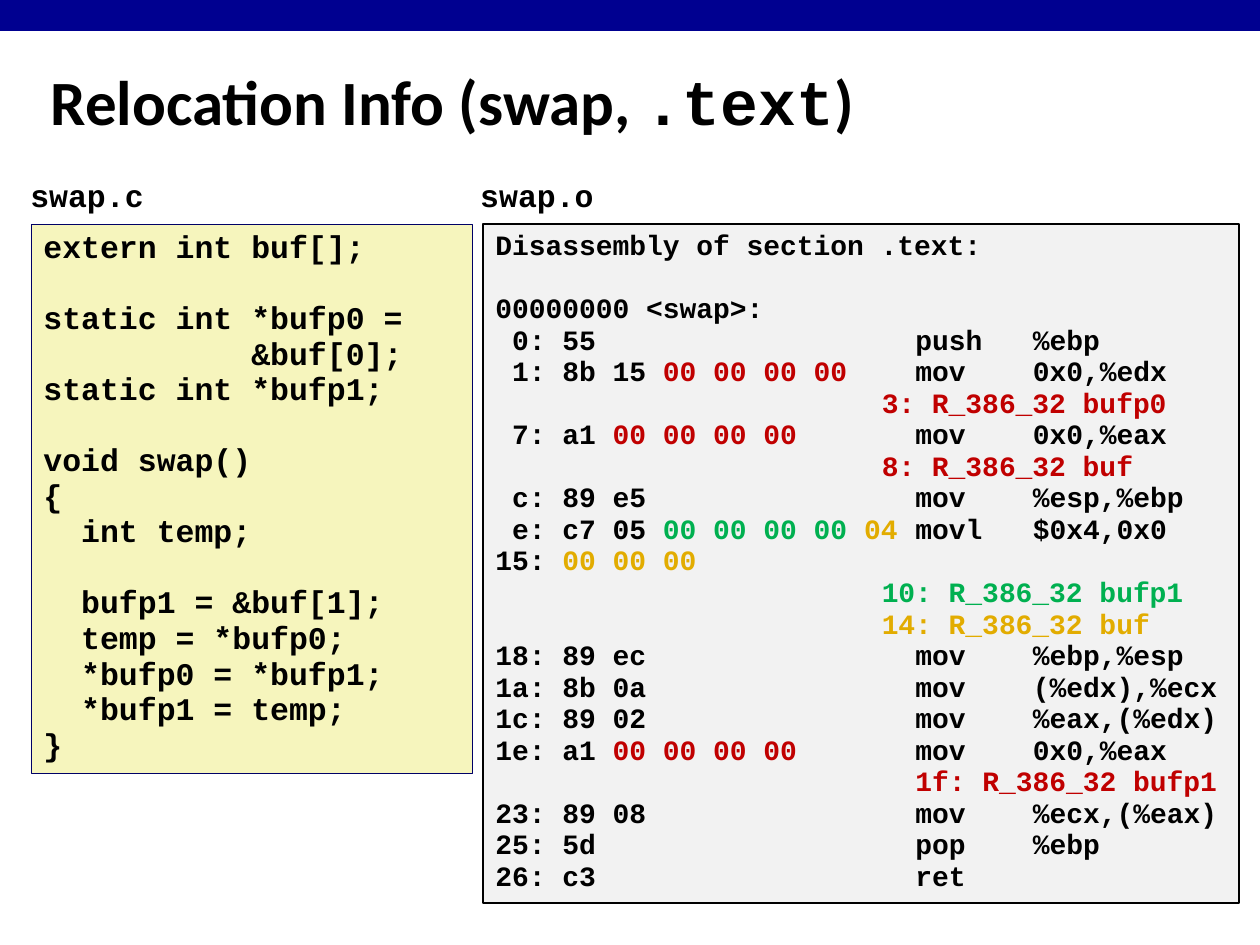
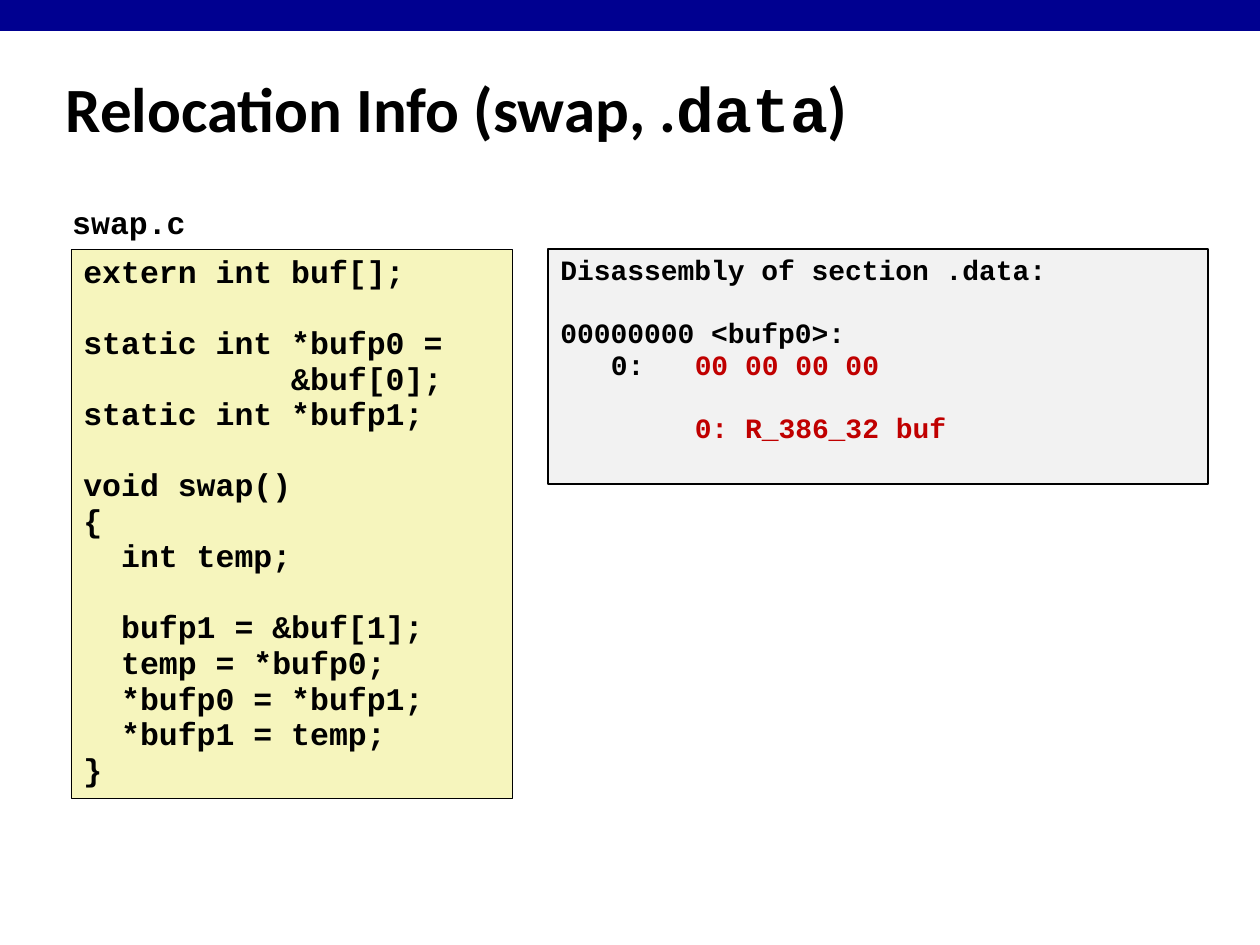
from dataclasses import dataclass

from pptx import Presentation
from pptx.dml.color import RGBColor
from pptx.enum.shapes import MSO_SHAPE
from pptx.enum.text import MSO_ANCHOR, PP_ALIGN
from pptx.oxml import parse_xml
from pptx.oxml.ns import nsdecls
from pptx.util import Emu, Pt

RECTANGLE = MSO_SHAPE.RECTANGLE
TOP, MIDDLE = MSO_ANCHOR.TOP, MSO_ANCHOR.MIDDLE
LEFT, CENTER = PP_ALIGN.LEFT, PP_ALIGN.CENTER
EMU_PER_PX = 914400 / 126


@dataclass(frozen=True)
class Theme:
    ink: str = "000000"
    red: str = "C00000"
    green: str = "00B050"
    gold: str = "E2AC00"
    band: str = "000090"
    source_fill: str = "F6F5BD"
    listing_fill: str = "F2F2F2"
    navy: str = "000066"
    title_font: str = "Calibri"
    code_font: str = "Courier New"
    title_size: int = 36
    source_size: int = 18
    listing_size: int = 16
    title_spacing: float = 0.82
    code_spacing: float = 0.94
    label_spacing: float = 0.9
    char_width: float = 0.6
    line_height: float = 1.13


theme = Theme()


def px(*lengths):
    return [Emu(round(length * EMU_PER_PX)) for length in lengths]


def write_code(frame, code, size, spacing, align=LEFT, stops=()):
    """Write code lines; ¦colour¦ switches the colour inside a line.

    Blank lines become space before, leading spaces become an indent,
    and tab stops are counted in characters.
    """
    column = size * theme.char_width
    frame.vertical_anchor = TOP
    para, gap = None, 0
    for line in code.strip("\n").split("\n"):
        if not line:
            gap += size * theme.line_height
            continue
        para = frame.paragraphs[0] if para is None else frame.add_paragraph()
        for name, value in {"alignment": align, "line_spacing": spacing,
                            "space_before": Pt(gap)}.items():
            setattr(para, name, value)
        gap = 0
        properties = para._p.get_or_add_pPr()
        indent = len(line) - len(line.lstrip(" "))
        if indent > 1:
            line = line.lstrip(" ")
            properties.set("marL", str(Pt(indent * column)))
            properties.set("indent", "0")
        if "\t" in line:
            tabs = "".join(f'<a:tab pos="{Pt(stop * column)}" algn="l"/>' for stop in stops)
            properties.append(parse_xml(f'<a:tabLst {nsdecls("a")}>{tabs}</a:tabLst>'))
        pieces = line.split("¦")
        for colour, text in zip(["ink"] + pieces[1::2], pieces[::2]):
            if not text:
                continue
            span = para.add_run()
            span.text = text
            for name, value in {"name": theme.code_font, "size": Pt(size), "bold": True}.items():
                setattr(span.font, name, value)
            span.font.color.rgb = RGBColor.from_string(getattr(theme, colour))


# Code shown on the slides
SWAP_C = """
extern int buf[];

static int *bufp0 =
           &buf[0];
static int *bufp1;

void swap()
{
  int temp;

  bufp1 = &buf[1];
  temp = *bufp0;
  *bufp0 = *bufp1;
  *bufp1 = temp;
}
"""

TEXT_SECTION = """
Disassembly of section .text:

00000000 <swap>:
 0: 55\tpush\t%ebp
 1: 8b 15 ¦red¦00 00 00 00¦ink¦\tmov\t0x0,%edx
                       ¦red¦3: R_386_32 bufp0
 7: a1 ¦red¦00 00 00 00¦ink¦\tmov\t0x0,%eax
                       ¦red¦8: R_386_32 buf
 c: 89 e5\tmov\t%esp,%ebp
 e: c7 05 ¦green¦00 00 00 00 ¦gold¦04¦ink¦\tmovl\t$0x4,0x0
15: ¦gold¦00 00 00
                       ¦green¦10: R_386_32 bufp1
                       ¦gold¦14: R_386_32 buf
18: 89 ec\tmov\t%ebp,%esp
1a: 8b 0a\tmov\t(%edx),%ecx
1c: 89 02\tmov\t%eax,(%edx)
1e: a1 ¦red¦00 00 00 00¦ink¦\tmov\t0x0,%eax
                         ¦red¦1f: R_386_32 bufp1
23: 89 08\tmov\t%ecx,(%eax)
25: 5d\tpop\t%ebp
26: c3\tret
"""

DATA_SECTION = """
Disassembly of section .data:

00000000 <bufp0>:
\t0:\t¦red¦00 00 00 00

        ¦red¦0: R_386_32 buf
"""

# Each panel: place, code, size, fill, line colour, line width, tab stops
SOURCE = (SWAP_C, theme.source_size, theme.source_fill)
LISTING = (theme.listing_size, theme.listing_fill, theme.ink, 1)
pages = [
    {
        "title": ("Relocation Info (swap, ", ".text", ")"),
        "title_at": (38, 53),
        "panels": [
            ((483, 224, 756, 679), TEXT_SECTION, *LISTING, (25, 32)),
            ((31, 224, 441, 549), *SOURCE, theme.navy, 0.25, ()),
        ],
        "labels": [((17, 174), "swap.c"), ((467, 174), "swap.o")],
    },
    {
        "title": ("Relocation Info (swap, .", "data", ")"),
        "title_at": (53, 60),
        "panels": [
            ((548, 249, 660, 235), DATA_SECTION, *LISTING, (3, 8)),
            ((71, 249, 441, 549), *SOURCE, theme.ink, 0.25, ()),
        ],
        "labels": [((59, 201), "swap.c")],
    },
]

deck = Presentation()
deck.slide_width, deck.slide_height = px(1260, 945)
title_only = deck.slide_layouts[5]

for number, content in enumerate(pages):
    page = deck.slides.add_slide(title_only)

    # Top band, kept on the master for every page
    if number == 0:
        band = page.shapes.add_shape(RECTANGLE, *px(0, 0, 1260, 31))
        band.shadow.inherit = False
        band.fill.solid()
        band.fill.fore_color.rgb = RGBColor.from_string(theme.band)
        band.line.fill.background()
        deck.slide_master.shapes.element.insert(2, band.element)

    # Title with the section name in the code font
    title = page.shapes.title
    title.left, title.top, title.width, title.height = px(*content["title_at"], 1201, 108)
    title.text_frame.vertical_anchor = MIDDLE
    para = title.text_frame.paragraphs[0]
    para.alignment = LEFT
    para.line_spacing = theme.title_spacing
    fonts = (theme.title_font, theme.code_font, theme.title_font)
    for text, font in zip(content["title"], fonts):
        span = para.add_run()
        span.text = text
        for name, value in {"name": font, "size": Pt(theme.title_size), "bold": True}.items():
            setattr(span.font, name, value)
        span.font.color.rgb = RGBColor.from_string(theme.ink)

    # Code panels
    for place, code, size, fill, line, width, stops in content["panels"]:
        panel = page.shapes.add_shape(RECTANGLE, *px(*place))
        panel.shadow.inherit = False
        panel.fill.solid()
        panel.fill.fore_color.rgb = RGBColor.from_string(fill)
        panel.line.color.rgb = RGBColor.from_string(line)
        panel.line.width = Pt(width)
        write_code(panel.text_frame, code, size, theme.code_spacing, stops=stops)

    # File names above the panels
    for place, file_name in content["labels"]:
        label = page.shapes.add_textbox(*px(*place, 140, 50))
        label.text_frame.word_wrap = False
        write_code(label.text_frame, file_name, theme.source_size,
                   theme.label_spacing, align=CENTER)

deck.save("out.pptx")
